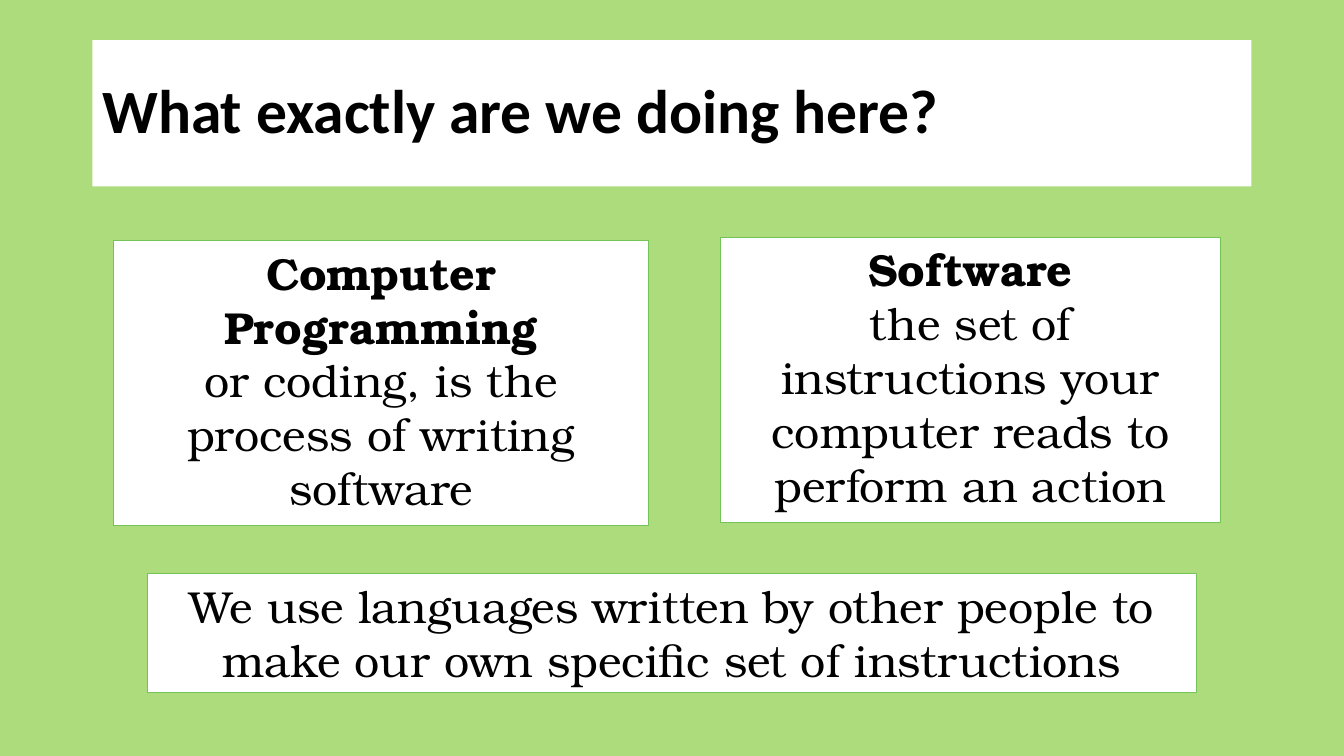
import pptx
import pptx.dml.color
import pptx.enum.shapes
import pptx.enum.text
import pptx.util

Pt = pptx.util.Pt
Align = pptx.enum.text.PP_ALIGN
Anchor = pptx.enum.text.MSO_ANCHOR
Kind = pptx.enum.shapes.MSO_SHAPE


class Deck:
    colors = {"back": "ADDC7C", "panel": "FFFFFF", "edge": "73C357", "ink": "000000"}
    head = "Calibri"
    body = "TeX Gyre Bonum"

    def __init__(self):
        self.prs = pptx.Presentation()
        self.prs.slide_width, self.prs.slide_height = Pt(960), Pt(540)
        self.slide = self.prs.slides.add_slide(self.prs.slide_layouts[6])
        self.paint(self.slide.background.fill, "back")

    def color(self, name):
        return pptx.dml.color.RGBColor.from_string(self.colors[name])

    def paint(self, fill, name):
        fill.solid()
        fill.fore_color.rgb = self.color(name)

    def panel(self, left, top, width, height, anchor):
        box = self.slide.shapes.add_shape(
            Kind.RECTANGLE, Pt(left), Pt(top), Pt(width), Pt(height))
        box.shadow.inherit = False
        self.paint(box.fill, "panel")
        box.text_frame.word_wrap = True
        box.text_frame.vertical_anchor = anchor
        return box

    def label(self, para, text, font, size, bold, align):
        para.text = text
        para.alignment = align
        para.font.name = font
        para.font.size = Pt(size)
        para.font.bold = bold
        para.font.color.rgb = self.color("ink")

    def title(self, left, top, width, height, text):
        box = self.panel(left, top, width, height, Anchor.MIDDLE)
        box.line.fill.background()
        para = box.text_frame.paragraphs[0]
        self.label(para, text, self.head, 44, True, Align.LEFT)
        para.line_spacing = 0.9

    def card(self, left, top, width, height, text, term=None):
        box = self.panel(left, top, width, height, Anchor.TOP)
        box.line.color.rgb = self.color("edge")
        box.line.width = Pt(0.75)
        frame = box.text_frame
        para = frame.paragraphs[0]
        if term:
            self.label(para, term, self.body, 32, True, Align.CENTER)
            para = frame.add_paragraph()
        self.label(para, text, self.body, 32, False, Align.CENTER)


def main():
    deck = Deck()

    # Title
    deck.title(66, 28.75, 828, 104.4, "What exactly are we doing here?")

    # Definitions
    deck.card(514.8, 169.4, 357, 203.6,
              "the set of instructions your computer reads to perform an action",
              "Software")
    deck.card(81.1, 171.9, 382.2, 203.6,
              "or coding, is the process of writing software",
              "Computer Programming")

    # Closing remark
    deck.card(105.3, 409.7, 749.4, 84.8,
              "We use languages written by other people to "
              "make our own specific set of instructions")

    deck.prs.save("out.pptx")


if __name__ == "__main__":
    main()
